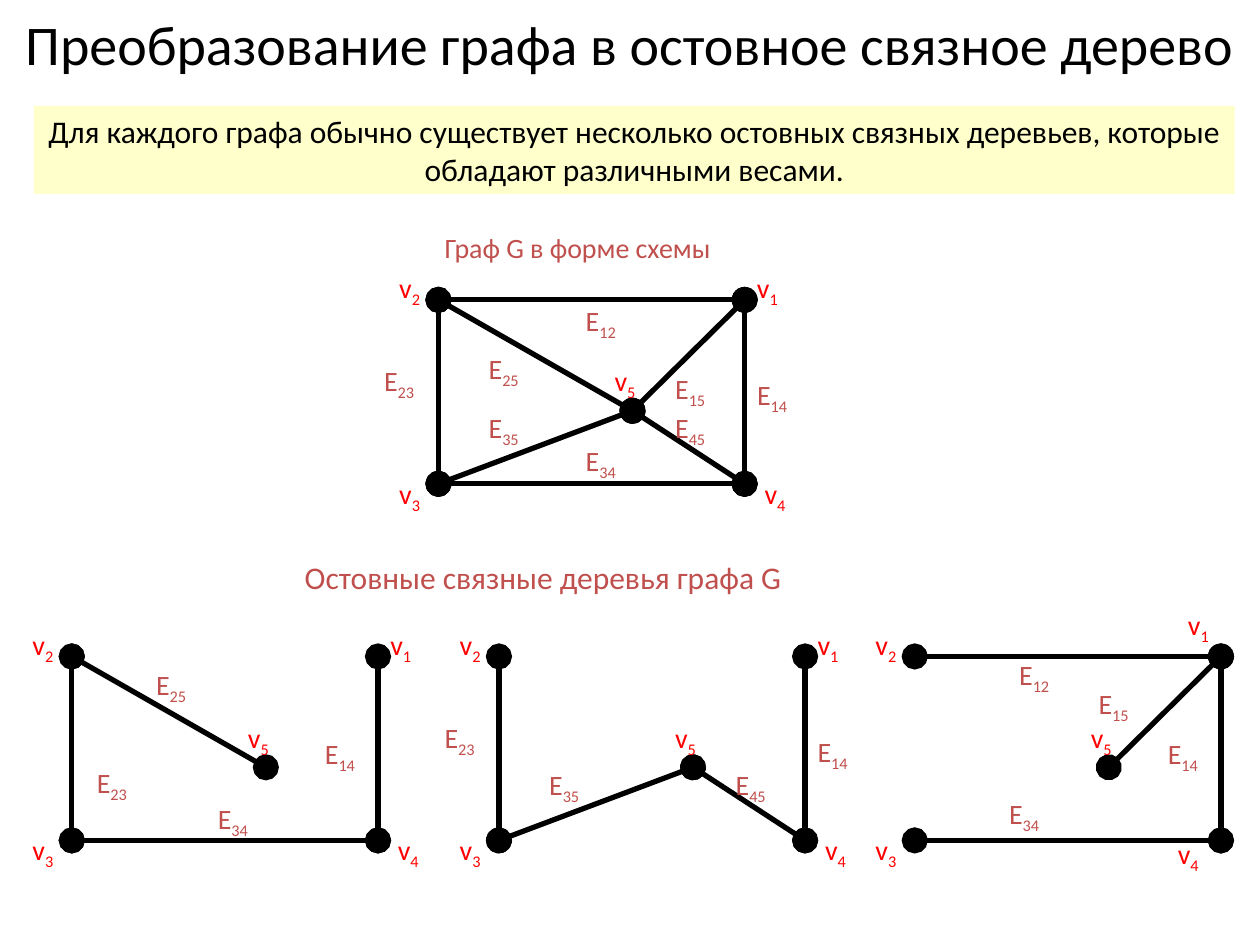
import pptx
import pptx.util
import pptx.dml.color
import pptx.enum.shapes
import pptx.enum.text
import pptx.oxml.ns
import lxml.etree

Inches = pptx.util.Inches
ALIGN = pptx.enum.text.PP_ALIGN

VERTICES = {"1": (2.43, 0), "2": (0, 0), "3": (0, 1.46),
            "4": (2.43, 1.46), "5": (1.54, 0.88)}
LABELS = {
    "v1": (2.43, -0.28), "v2": (-0.41, -0.28), "v3": (-0.41, 1.35),
    "v4": (2.49, 1.35), "v5": (1.3, 0.46),
    "E12": (1.07, -0.02), "E14": (2.43, 0.57), "E15": (1.78, 0.52),
    "E25": (0.3, 0.36), "E23": (-0.53, 0.46), "E35": (0.3, 0.83),
    "E45": (1.78, 0.83), "E34": (1.07, 1.09),
}
TREES = [
    (0.57, "23 14 34 25",
     {"E14": (1.91, 0.59), "E25": (0.57, 0.04),
      "E23": (0.1, 0.82), "E34": (1.06, 1.1)}),
    (3.96, "23 14 45 35", {}),
    (7.26, "14 15 12 34",
     {"v1": (2.07, -0.44), "v4": (1.99, 1.38), "E12": (0.73, -0.04),
      "E14": (1.91, 0.59), "E15": (1.36, 0.19), "E34": (0.65, 1.06)}),
]


def color(value):
    return pptx.dml.color.RGBColor.from_string(value)


def fill(sp, value):
    sp.fill.solid()
    sp.fill.fore_color.rgb = color(value)


def style(p, size, value):
    p.font.name = "Calibri"
    p.font.size = pptx.util.Pt(size)
    p.font.color.rgb = color(value)


def add_text(s, box, text, size, value, align=ALIGN.LEFT):
    sp = s.shapes.add_textbox(*map(Inches, box))
    tf = sp.text_frame
    tf.word_wrap = True
    p = tf.paragraphs[0]
    p.text = text
    p.alignment = align
    style(p, size, value)
    return sp


def add_title(s, box, text):
    sp = s.shapes.title
    sp.left, sp.top, sp.width, sp.height = map(Inches, box)
    fill(sp, "FFFFFF")
    tf = sp.text_frame
    tf.text = text
    tf.word_wrap = False
    tf.auto_size = pptx.enum.text.MSO_AUTO_SIZE.NONE
    tf.vertical_anchor = pptx.enum.text.MSO_ANCHOR.MIDDLE
    p = tf.paragraphs[0]
    p.alignment = ALIGN.CENTER
    style(p, 32, "000000")


def add_banner(s, box, text):
    sp = add_text(s, box, text, 18, "000000", ALIGN.CENTER)
    fill(sp, "FFFFCC")


def add_edge(s, start, end):
    sp = s.shapes.add_connector(pptx.enum.shapes.MSO_CONNECTOR.STRAIGHT,
                                *map(Inches, start + end))
    sp.line.color.rgb = color("000000")
    sp.line.width = pptx.util.Pt(3)
    qn = pptx.oxml.ns.qn
    ln = sp.line._get_or_add_ln()
    for tag in ("a:headEnd", "a:tailEnd"):
        lxml.etree.SubElement(ln, qn(tag), type="oval", w="lg", len="lg")
    lxml.etree.SubElement(sp._element.spPr, qn("a:effectLst"))


def add_label(s, left, top, text):
    is_vertex = text[0] == "v"
    width = 0.47 if is_vertex else 0.59
    sp = add_text(s, (left, top, width, 0.37), text[0], 16,
                  "FF0000" if is_vertex else "C0504D")
    r = sp.text_frame.paragraphs[0].add_run()
    r.text = text[1:]
    r._r.get_or_add_rPr().set("baseline", "-25000")


def add_graph(s, left, top, edges, moved):
    edges = edges.split()
    points = {n: (left + x, top + y) for n, (x, y) in VERTICES.items()}
    for a, b in edges:
        add_edge(s, points[a], points[b])
    places = {**LABELS, **moved}
    for name in [f"v{n}" for n in VERTICES] + [f"E{e}" for e in edges]:
        x, y = places[name]
        add_label(s, left + x, top + y, name)


def main():
    prs = pptx.Presentation()
    prs.slide_width, prs.slide_height = Inches(10), Inches(7.5)
    s = prs.slides.add_slide(prs.slide_layouts.get_by_name("Title Only"))
    add_title(s, (0, 0, 10, 0.68),
              "Преобразование графа в остовное связное дерево")
    add_graph(s, 3.48, 2.38, "23 14 45 15 12 34 35 25", {})
    add_banner(s, (0.27, 0.84, 9.53, 0.7),
               "Для каждого графа обычно существует несколько остовных "
               "связных деревьев, которые обладают различными весами.")
    add_text(s, (2.32, 4.38, 5.59, 0.4),
             "Остовные связные деревья графа G", 18, "C0504D")
    add_text(s, (3.43, 1.78, 3.23, 0.37),
             "Граф G в форме схемы", 16, "C0504D")
    for left, edges, moved in TREES:
        add_graph(s, left, 5.21, edges, moved)
    prs.save("out.pptx")


if __name__ == "__main__":
    main()
